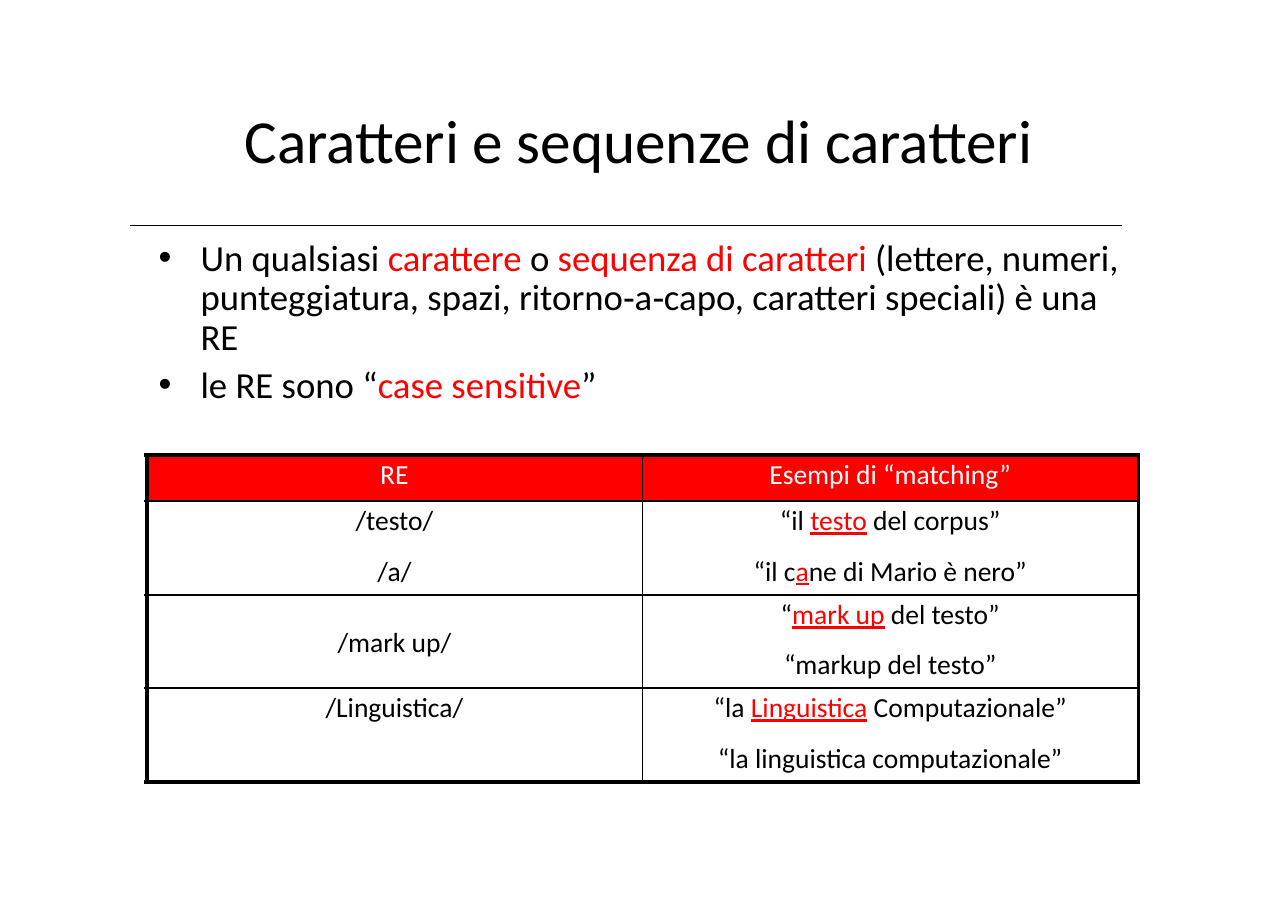
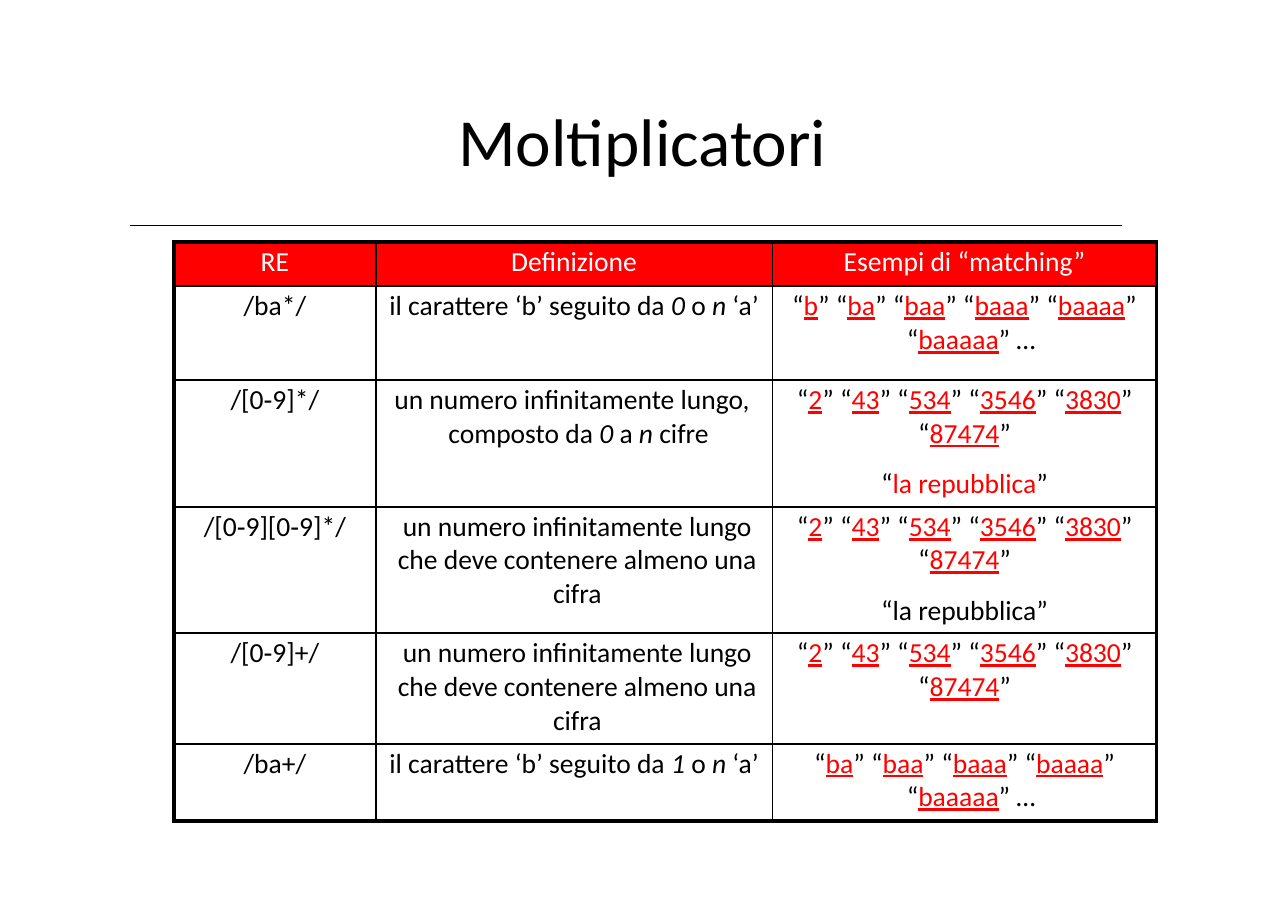
"""Build two slides on regular expressions: character sequences and multipliers."""
from lxml import etree
from pptx import Presentation, util as u
from pptx.dml.color import RGBColor
from pptx.enum import shapes, text
from pptx.oxml.ns import qn

BLACK, WHITE, RED = "000000", "FFFFFF", "FF0000"
FONT = "Calibri"
LEFT, CENTER = text.PP_ALIGN.LEFT, text.PP_ALIGN.CENTER
TOP, MIDDLE = text.MSO_ANCHOR.TOP, text.MSO_ANCHOR.MIDDLE
MARKS = {
    "_": {"color": RED, "underline": True},
    "~": {"color": RED},
    "^": {"italic": True},
}

DIGITS = "“_2_” “_43_” “_534_” “_3546_” “_3830_” “_87474_”"
AT_LEAST_ONE = ("un numero infinitamente lungo che deve contenere almeno una cifra",
                {"indent": (6, 0)})

SEQUENCES = [
    ["RE", "Esempi di “matching”"],
    ["/testo/\n/a/", "“il _testo_ del corpus”\n“il c_a_ne di Mario è nero”"],
    [("/mark up/", {"anchor": MIDDLE}), "“_mark up_ del testo”\n“markup del testo”"],
    ["/Linguistica/",
     "“la _Linguistica_ Computazionale”\n“la linguistica computazionale”"],
]

MULTIPLIERS = [
    ["RE", "Definizione", "Esempi di “matching”"],
    ["/ba*/", "il carattere ‘b’ seguito da ^0^ o ^n^ ‘a’",
     ("“_b_” “_ba_” “_baa_” “_baaa_” “_baaaa_” “_baaaaa_” …",
      {"align": LEFT, "indent": (122, -104)})],
    ["/[0‐9]*/",
     ("un numero infinitamente lungo, composto da ^0^ a ^n^ cifre",
      {"align": LEFT, "indent": (66, -49)}),
     DIGITS + "\n“~la repubblica~”"],
    ["/[0‐9][0‐9]*/", AT_LEAST_ONE, DIGITS + "\n“la repubblica”"],
    ["/[0‐9]+/", AT_LEAST_ONE, DIGITS],
    ["/ba+/", "il carattere ‘b’ seguito da ^1^ o ^n^ ‘a’",
     ("“_ba_” “_baa_” “_baaa_” “_baaaa_” “_baaaaa_” …",
      {"align": LEFT, "indent": (122, -84)})],
]


def px(n):
    return u.Emu(n * 9144)


def rgb(color):
    return RGBColor.from_string(color)


def split_marks(marked):
    mark, chunk = "", ""
    for ch in marked:
        if ch in MARKS:
            yield chunk, mark
            mark, chunk = "" if mark == ch else ch, ""
        else:
            chunk += ch
    yield chunk, mark


def add_run(p, words, size, color=BLACK, underline=None, italic=None):
    r = p.add_run()
    r.text = words
    f = r.font
    f.name, f.size, f.underline, f.italic = FONT, u.Pt(size), underline, italic
    f.color.rgb = rgb(color)


def write(p, marked, size=18, color=BLACK, align=LEFT, before=0, line=None,
          indent=(0, 0), bullet=None):
    p.alignment, p.space_before = align, u.Pt(before)
    if line:
        p.line_spacing = u.Pt(line)
    pPr = p._p.get_or_add_pPr()
    pPr.set("marL", str(px(indent[0])))
    pPr.set("indent", str(px(indent[1])))
    if bullet:
        etree.SubElement(pPr, qn("a:buFont"), typeface="Arial")
        etree.SubElement(pPr, qn("a:buChar"), char=bullet)
    for words, mark in split_marks(marked):
        if words:
            add_run(p, words, size, **{"color": color, **MARKS.get(mark, {})})


def set_frame(tf, top):
    tf.word_wrap = True
    tf.auto_size = text.MSO_AUTO_SIZE.NONE
    tf.vertical_anchor = TOP
    tf.margin_left = tf.margin_right = tf.margin_bottom = 0
    tf.margin_top = px(top)


def place(sp, x, y, w, h):
    sp.left, sp.top, sp.width, sp.height = map(px, (x, y, w, h))


def add_rule(s):
    line = s.shapes.add_connector(shapes.MSO_CONNECTOR.STRAIGHT,
                                  px(118), px(205), px(1018), px(205))
    line.line.width = u.Pt(0.5)
    line.line.color.rgb = rgb(BLACK)
    etree.SubElement(line._element.spPr, qn("a:effectLst"))


def add_slide(prs, title, box, size):
    s = prs.slides.add_slide(prs.slide_layouts[5])
    add_rule(s)
    place(s.shapes.title, *box)
    tf = s.shapes.title.text_frame
    set_frame(tf, 1)
    write(tf.paragraphs[0], title, size=size, before=1, indent=(1, 0))
    return s


def add_bullets(s, box, items):
    sp = s.shapes.add_textbox(*map(px, box))
    tf = sp.text_frame
    set_frame(tf, 6)
    for i, (marked, fmt) in enumerate(items):
        p = tf.add_paragraph() if i else tf.paragraphs[0]
        write(p, marked, size=24, indent=(39, -38), bullet="•", **fmt)


def set_borders(cell, **widths):
    tcPr = cell._tc.get_or_add_tcPr()
    for side in "LRTB":
        ln = etree.SubElement(tcPr, qn("a:ln" + side), w=str(u.Pt(widths[side])))
        fill = etree.SubElement(ln, qn("a:solidFill"))
        etree.SubElement(fill, qn("a:srgbClr"), val=BLACK)


def fill_cell(cell, content, header):
    marked, fmt = content if isinstance(content, tuple) else (content, {})
    fmt = {"align": CENTER, **fmt}
    cell.vertical_anchor = fmt.pop("anchor", TOP)
    cell.margin_left = cell.margin_right = cell.margin_bottom = 0
    cell.margin_top = px(3)
    cell.fill.solid()
    cell.fill.fore_color.rgb = rgb(RED if header else WHITE)
    tf = cell.text_frame
    for i, part in enumerate(marked.split("\n")):
        p = tf.add_paragraph() if i else tf.paragraphs[0]
        write(p, part, color=WHITE if header else BLACK,
              before=10.9 if i else 2.5, **fmt)


def add_grid(s, x, y, widths, heights, rows, verticals):
    frame = s.shapes.add_table(len(heights), len(widths), px(x), px(y),
                               px(sum(widths)), px(sum(heights)))
    table = frame.table
    table.first_row = table.horz_banding = False
    for col, w in zip(table.columns, widths):
        col.width = px(w)
    for row, h in zip(table.rows, heights):
        row.height = px(h)
    horizontals = [3] + [1.5] * (len(rows) - 1) + [3]
    for i, row in enumerate(rows):
        for j, content in enumerate(row):
            cell = table.cell(i, j)
            set_borders(cell, L=verticals[j], R=verticals[j + 1],
                        T=horizontals[i], B=horizontals[i + 1])
            fill_cell(cell, content, header=i == 0)


def main():
    prs = Presentation()
    prs.slide_width, prs.slide_height = px(1169), px(827)

    s = add_slide(prs, "Caratteri e sequenze di caratteri", (221, 92, 728, 70), 40)
    add_bullets(s, (143, 211, 882, 159), [
        ("Un qualsiasi ~carattere~ o ~sequenza di caratteri~ (lettere, numeri, "
         "punteggiatura, spazi, ritorno‐a‐capo, caratteri speciali) è una RE",
         {"before": 4.2, "line": 25.9}),
        ("le RE sono “~case sensitive~”", {"before": 2.4}),
    ])
    add_grid(s, 133, 413, [450, 450], [42, 85, 85, 85], SEQUENCES, [3, 1, 2.25])

    s = add_slide(prs, "Moltiplicatori", (415, 89, 340, 76), 44)
    add_grid(s, 158, 220, [183, 360, 349], [40, 85, 115, 115, 100, 70],
             MULTIPLIERS, [3, 1.5, 1, 2.25])

    prs.save("out.pptx")


if __name__ == "__main__":
    main()
